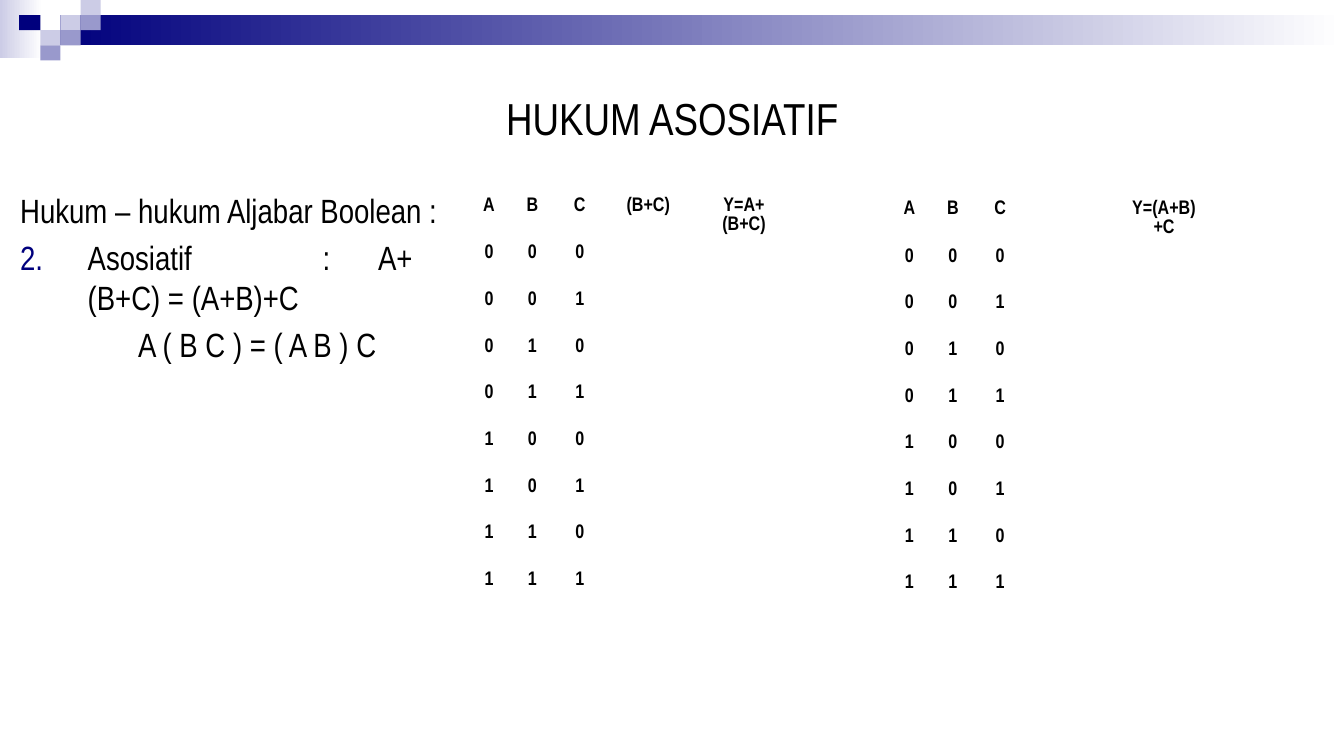
from dataclasses import dataclass
from itertools import product

from lxml.etree import SubElement
from pptx import Presentation
from pptx.dml.color import RGBColor
from pptx.enum.shapes import MSO_SHAPE
from pptx.enum.text import MSO_ANCHOR, MSO_AUTO_SIZE, PP_ALIGN
from pptx.oxml.ns import qn
from pptx.util import Inches, Pt

NAVY, MID, PALE, WHITE, BLACK = "00007D", "9999CC", "CCCCE6", "FFFFFF", "000000"
FACE = "Arial Narrow"


@dataclass
class Block:
    left: float
    top: float
    width: float
    height: float
    fill: str
    fade: bool = False


@dataclass
class Truth:
    left: float
    top: float
    heads: list[str]
    widths: list[float]


@dataclass
class Line:
    text: str
    before: float = 0
    start: int = 0
    tabs: tuple[float, ...] = ()


BLOCKS = [
    Block(0, 0, 0.42, 0.58, PALE, True),
    Block(0.6, 0.15, 12.73, 0.3, NAVY, True),
    Block(0.6, 0.15, 0.2, 0.15, PALE),
    Block(0.8, 0, 0.2, 0.15, PALE),
    Block(0.8, 0.15, 0.2, 0.15, MID),
    Block(0.4, 0.3, 0.2, 0.15, PALE),
    Block(0.19, 0.15, 0.21, 0.15, NAVY),
    Block(0.6, 0.3, 0.2, 0.15, MID),
    Block(0.4, 0.45, 0.2, 0.15, MID),
]
TABLES = [
    Truth(4.65, 1.91, ["A", "B", "C", "(B+C)", "Y=A+(B+C)", ""],
          [0.4, 0.46, 0.48, 0.88, 1.02, 0.71]),
    Truth(8.82, 1.94, ["A", "B", "C", "", "Y=(A+B)+C", ""],
          [0.4, 0.46, 0.48, 0.88, 1.01, 0.72]),
]
LINES = [
    Line("Hukum – hukum Aljabar Boolean :"),
    Line("Asosiatif\t\t: \tA+(B+C) = (A+B)+C", 4.8, 2, (2, 3, 3.55)),
    Line("\t\tA ( B C ) = ( A B ) C", 4.8, tabs=(0.67, 1.67)),
]


def color(code: str) -> RGBColor:
    return RGBColor.from_string(code)


def style(para, size: float, bold: bool = False) -> None:
    font = para.font
    font.name, font.size, font.bold = FACE, Pt(size), bold
    font.color.rgb = color(BLACK)


def place(shape, left: float, top: float, width: float, height: float) -> None:
    shape.left, shape.top = Inches(left), Inches(top)
    shape.width, shape.height = Inches(width), Inches(height)


def add_block(slide, block: Block) -> None:
    shape = slide.shapes.add_shape(
        MSO_SHAPE.RECTANGLE, Inches(block.left), Inches(block.top),
        Inches(block.width), Inches(block.height))
    shape.shadow.inherit = False
    shape.line.fill.background()
    if block.fade:
        shape.fill.gradient()
        shape.fill.gradient_angle = 0
        for stop, code in zip(shape.fill.gradient_stops, (block.fill, WHITE)):
            stop.color.rgb = color(code)
    else:
        shape.fill.solid()
        shape.fill.fore_color.rgb = color(block.fill)


def add_line(para, line: Line) -> None:
    """Fill a body paragraph with its hanging indent, number and tab stops."""
    para.text = line.text
    para.space_before = Pt(line.before)
    props = para._p.get_or_add_pPr()
    props.set("marL", str(Inches(0.67)))
    props.set("indent", str(Inches(-0.67)))
    if line.start:
        tint = SubElement(props, qn("a:buClr"))
        SubElement(tint, qn("a:srgbClr"), val=NAVY)
        SubElement(props, qn("a:buFont"), typeface=FACE)
        SubElement(props, qn("a:buAutoNum"), type="arabicPeriod",
                   startAt=str(line.start))
    else:
        SubElement(props, qn("a:buNone"))
    if line.tabs:
        stops = SubElement(props, qn("a:tabLst"))
        for pos in line.tabs:
            SubElement(stops, qn("a:tab"), pos=str(Inches(pos)), algn="l")
    style(para, 24)


def add_truth(slide, truth: Truth) -> None:
    """Add a truth table with blank result columns."""
    rows = [truth.heads]
    rows += [[*bits, "", "", ""] for bits in product("01", repeat=3)]
    table = slide.shapes.add_table(
        len(rows), len(truth.widths), Inches(truth.left), Inches(truth.top),
        Inches(sum(truth.widths)), Inches(4.17)).table
    table.first_row = table.horz_banding = False
    for col, width in zip(table.columns, truth.widths):
        col.width = Inches(width)
    for r, row in enumerate(rows):
        for c, text in enumerate(row):
            cell = table.cell(r, c)
            cell.fill.background()
            para = cell.text_frame.paragraphs[0]
            para.text = text
            para.alignment = PP_ALIGN.CENTER
            style(para, 14, True)


def main() -> None:
    deck = Presentation()
    deck.slide_width, deck.slide_height = Inches(13.33), Inches(7.5)
    slide = deck.slides.add_slide(deck.slide_layouts[1])
    for block in BLOCKS:
        add_block(slide, block)

    title = slide.shapes.title
    place(title, 2.17, 0.5, 9, 1.33)
    title.text_frame.text = "HUKUM ASOSIATIF"
    title.text_frame.vertical_anchor = MSO_ANCHOR.MIDDLE
    head = title.text_frame.paragraphs[0]
    head.alignment = PP_ALIGN.CENTER
    style(head, 32)

    body = slide.placeholders[1]
    place(body, 0.1, 1.83, 4.42, 4.58)
    frame = body.text_frame
    frame.auto_size = MSO_AUTO_SIZE.NONE
    for i, line in enumerate(LINES):
        add_line(frame.add_paragraph() if i else frame.paragraphs[0], line)

    for truth in TABLES:
        add_truth(slide, truth)
    deck.save("out.pptx")


if __name__ == "__main__":
    main()
